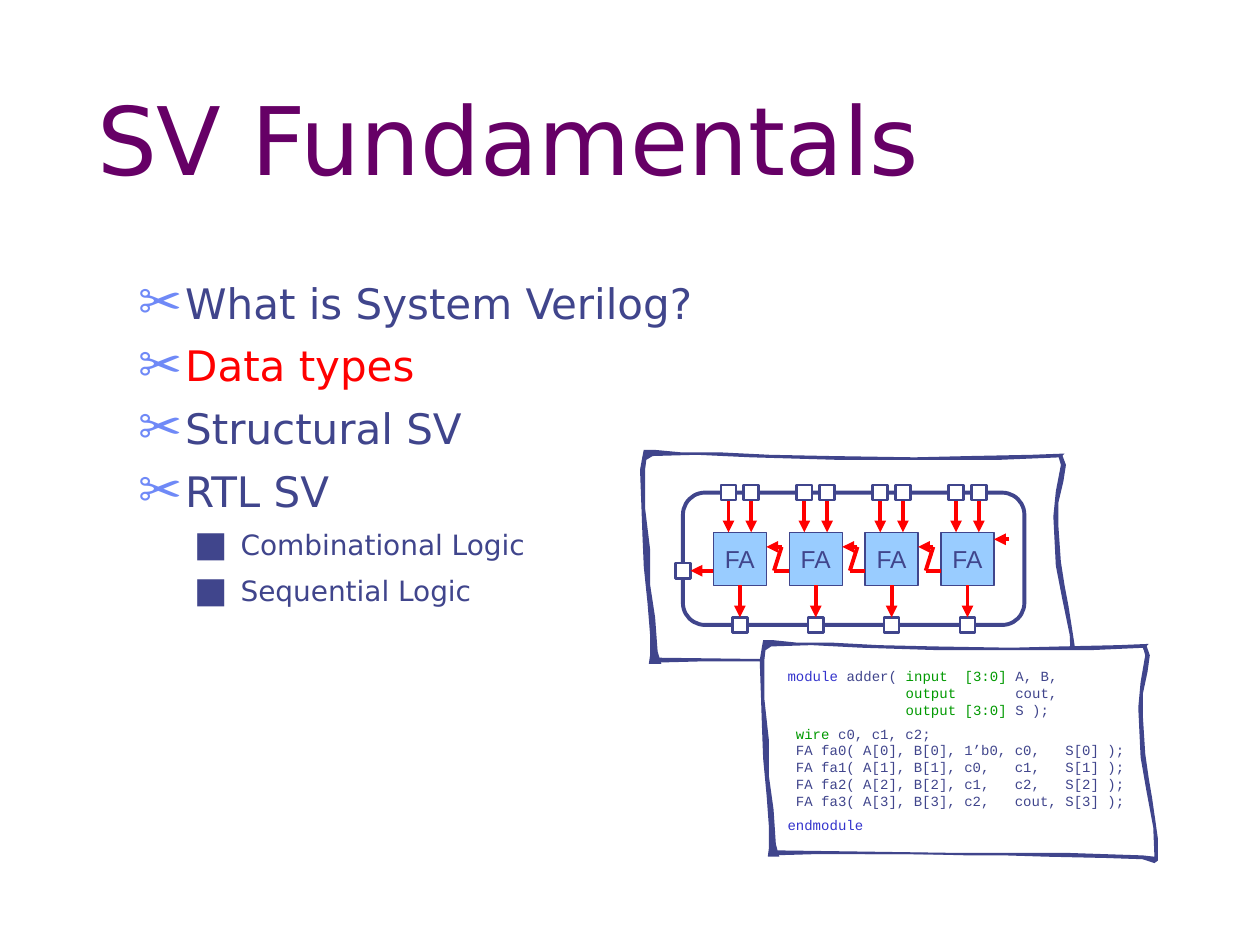
from dataclasses import dataclass

from lxml import etree
from pptx import Presentation
from pptx import util as u
from pptx.dml import color
from pptx.enum import shapes, text
from pptx.oxml import ns

INK, RED, GREEN, BLUE, WHITE = "40458C", "FF0000", "009900", "3333CC", "FFFFFF"
SKY, PLUM, PERIWINKLE = "99CCFF", "660066", "6F89F7"
SLIDE_W, SLIDE_H = 10, 7.5

# Hand-drawn frame, on a grid of 345 columns by 175 rows
FRAME_COLS, FRAME_ROWS = 345, 175
TOP_LEFT_STROKE = [
    (334, 6), (285, 8), (224, 8), (157, 8), (88, 6), (45, 4), (10, 5), (5, 8), (4, 16),
    (4, 46), (8, 79), (8, 107), (12, 133), (14, 160), (16, 167), (17, 170), (7, 170),
    (8, 163), (8, 147), (6, 122), (3, 93), (2, 69), (1, 42), (0, 16), (2, 5), (3, 0),
    (11, 0), (32, 2), (62, 2), (103, 4), (151, 5), (218, 6), (262, 5), (311, 4), (337, 3)]
BOTTOM_RIGHT_STROKE = [
    (13, 165), (90, 166), (169, 167), (219, 167), (266, 167), (332, 169), (342, 170),
    (341, 147), (335, 118), (330, 92), (328, 53), (330, 33), (334, 12), (332, 5), (335, 4),
    (338, 12), (336, 25), (332, 42), (332, 60), (334, 89), (337, 108), (340, 124),
    (343, 143), (345, 156), (345, 173), (342, 175), (332, 172), (300, 171), (249, 170),
    (213, 169), (182, 169), (139, 168), (95, 168), (47, 168), (10, 169)]
PAPER = [
    (332, 5), (219, 7), (161, 7), (96, 5), (44, 3), (32, 3), (7, 2), (3, 5), (2, 18),
    (4, 86), (11, 146), (11, 167), (229, 168), (330, 171), (341, 173), (344, 170),
    (342, 146), (332, 90), (330, 42), (336, 16), (336, 13)]

TOPICS = [("What is System Verilog?", 0, INK), ("Data types", 0, RED),
          ("Structural SV", 0, INK), ("RTL SV", 0, INK),
          ("Combinational Logic", 1, INK), ("Sequential Logic", 1, INK)]
LEVELS = [("✂", PERIWINKLE, 24, 0.37), ("■", INK, 16, 0.81)]

# Each line: space before in points, then its coloured runs
CODE = [
    (0, [("module", BLUE), (" adder( ", INK), ("input  [3:0]", GREEN), (" A, B,", INK)]),
    (0, [("              ", INK), ("output", GREEN), ("       cout,", INK)]),
    (0, [("              ", INK), ("output [3:0]", GREEN), (" S );", INK)]),
    (4, [(" wire", GREEN), (" c0, c1, c2;", INK)]),
    (0, [(" FA fa0( A[0], B[0], 1’b0, c0,   S[0] );", INK)]),
    (0, [(" FA fa1( A[1], B[1], c0,   c1,   S[1] );", INK)]),
    (0, [(" FA fa2( A[2], B[2], c1,   c2,   S[2] );", INK)]),
    (0, [(" FA fa3( A[3], B[3], c2,   cout, S[3] );", INK)]),
    (4.5, [("endmodule", BLUE)])]


@dataclass
class Grid:
    """A box in inches, divided into columns and rows."""
    left: float
    top: float
    width: float
    height: float
    cols: float = 1
    rows: float = 1

    def point(self, col, row):
        return (u.Inches(self.left + self.width * col / self.cols),
                u.Inches(self.top + self.height * row / self.rows))

    def area(self, col=0, row=0, cols=None, rows=None):
        x, y = self.point(col, row)
        right, bottom = self.point(col + (cols or self.cols), row + (rows or self.rows))
        return x, y, right - x, bottom - y


def rgb(value):
    return color.RGBColor.from_string(value)


def add_run(paragraph, words, size, font, ink):
    run = paragraph.add_run()
    run.text = words
    run.font.size, run.font.name = u.Pt(size), font
    run.font.color.rgb = rgb(ink)


def set_bullet(paragraph, char, ink, indent):
    props = paragraph._p.get_or_add_pPr()
    props.set("marL", str(u.Inches(indent)))
    props.set("indent", str(u.Inches(-0.37)))
    tint = etree.SubElement(props, ns.qn("a:buClr"))
    etree.SubElement(tint, ns.qn("a:srgbClr"), val=ink)
    etree.SubElement(props, ns.qn("a:buSzPct"), val="126000")
    etree.SubElement(props, ns.qn("a:buFont"), typeface="DejaVu Sans")
    etree.SubElement(props, ns.qn("a:buChar"), char=char)


def paint(shape, fill=None, line=None, weight=0.75):
    shape.shadow.inherit = False
    if fill:
        shape.fill.solid()
        shape.fill.fore_color.rgb = rgb(fill)
    else:
        shape.fill.background()
    if line:
        shape.line.color.rgb = rgb(line)
        shape.line.width = u.Pt(weight)
    else:
        shape.line.fill.background()
    return shape


def add_wire(slide, grid, start, end, arrow=True):
    wire = slide.shapes.add_connector(shapes.MSO_CONNECTOR.STRAIGHT,
                                      *grid.point(*start), *grid.point(*end))
    wire.line.color.rgb = rgb(RED)
    wire.line.width = u.Pt(2.25)
    if arrow:
        etree.SubElement(wire.get_or_add_ln(), ns.qn("a:tailEnd"), type="triangle")
    etree.SubElement(wire.element.spPr, ns.qn("a:effectLst"))
    return wire


def add_port(slide, grid, col, row):
    """A small square centred on a grid point."""
    port = slide.shapes.add_shape(shapes.MSO_SHAPE.RECTANGLE,
                                  *grid.area(col - 1, row - 1, 2, 2))
    return paint(port, WHITE, INK, 1.5)


def add_full_adder(slide, grid, col, row):
    adder = paint(slide.shapes.add_shape(shapes.MSO_SHAPE.RECTANGLE,
                                         *grid.area(col, row, 7, 7)), SKY, INK)
    frame = adder.text_frame
    frame.word_wrap = False
    frame.vertical_anchor = text.MSO_ANCHOR.MIDDLE
    frame.paragraphs[0].alignment = text.PP_ALIGN.CENTER
    add_run(frame.paragraphs[0], "FA", 14, "Arial", INK)
    return adder


def draw_adder_circuit(slide, grid):
    shell = slide.shapes.add_shape(shapes.MSO_SHAPE.ROUNDED_RECTANGLE,
                                   *grid.area(1, 1, 45, 17.5))
    paint(shell, None, INK, 2.25)
    top, carry_in, carry_out = 6.25, 8.17, 11.33
    for stage in range(4):
        left = 5 + 10 * stage
        adder = add_full_adder(slide, grid, left, top)
        for col in (left + 2, left + 5):
            add_wire(slide, grid, (col, 1), (col, top))
            add_port(slide, grid, col, 1)
        sum_port = add_port(slide, grid, left + 3.5, 18.5)
        sum_wire = add_wire(slide, grid, (left + 3.5, top + 7), (left + 3.5, 17.5))
        sum_wire.begin_connect(adder, 2)
        sum_wire.end_connect(sum_port, 0)
        if stage:
            add_wire(slide, grid, (left, carry_out), (left - 2, carry_out), arrow=False)
            add_wire(slide, grid, (left - 1, carry_in), (left - 2, carry_out), arrow=False)
            add_wire(slide, grid, (left - 1, carry_in), (left - 3, carry_in))
    add_wire(slide, grid, (44, 7.17), (42, 7.17))
    carry_port = add_port(slide, grid, 1, carry_out)
    add_wire(slide, grid, (5, carry_out), (2, carry_out)).end_connect(carry_port, 3)


def draw_outline(slide, grid, points, fill, line=None):
    first, *rest = [grid.point(*point) for point in points]
    builder = slide.shapes.build_freeform(*first)
    builder.add_line_segments(rest, close=True)
    paint(builder.convert_to_shape(), fill, line)


def draw_sketched_frame(slide, grid, paper=False):
    if paper:
        draw_outline(slide, grid, PAPER, WHITE, INK)
    for stroke in (TOP_LEFT_STROKE, BOTTOM_RIGHT_STROKE):
        draw_outline(slide, grid, stroke, INK)


def place(holder, box):
    holder.left, holder.top, holder.width, holder.height = box.area()
    holder.text_frame.auto_size = text.MSO_AUTO_SIZE.NONE
    return holder.text_frame


def write_title(slide, box):
    frame = place(slide.shapes.title, box)
    frame.vertical_anchor = text.MSO_ANCHOR.BOTTOM
    frame.paragraphs[0].alignment = text.PP_ALIGN.LEFT
    add_run(frame.paragraphs[0], "SV Fundamentals", 54, "DejaVu Sans", PLUM)


def write_topics(slide, box):
    frame = place(slide.placeholders[1], box)
    for index, (words, level, ink) in enumerate(TOPICS):
        paragraph = frame.add_paragraph() if index else frame.paragraphs[0]
        char, bullet_ink, size, indent = LEVELS[level]
        paragraph.level = level
        paragraph.space_before = u.Pt(7)
        set_bullet(paragraph, char, bullet_ink, indent)
        add_run(paragraph, words, size, "DejaVu Sans", ink)


def write_code(slide, box):
    frame = slide.shapes.add_textbox(*box.area()).text_frame
    frame.word_wrap = True
    frame.margin_left = frame.margin_top = frame.margin_right = frame.margin_bottom = 0
    for index, (gap, runs) in enumerate(CODE):
        paragraph = frame.add_paragraph() if index else frame.paragraphs[0]
        paragraph.space_before = u.Pt(gap)
        for words, ink in runs:
            add_run(paragraph, words, 8, "Courier New", ink)


def main():
    deck = Presentation()
    deck.slide_width, deck.slide_height = u.Inches(SLIDE_W), u.Inches(SLIDE_H)
    slide = deck.slides.add_slide(deck.slide_layouts[1])
    write_title(slide, Grid(0.67, 0.59, 8.5, 1))
    write_topics(slide, Grid(1, 2.15, 8.42, 4.43))
    draw_adder_circuit(slide, Grid(5.36, 3.85, 2.77, 1.17, 46, 19.5))
    draw_sketched_frame(slide, Grid(5.08, 3.57, 3.45, 1.75, FRAME_COLS, FRAME_ROWS))
    draw_sketched_frame(slide, Grid(6.03, 5.08, 3.16, 1.77, FRAME_COLS, FRAME_ROWS), paper=True)
    write_code(slide, Grid(6.25, 5.3, 2.69, 1.33))
    deck.save("out.pptx")


if __name__ == "__main__":
    main()
